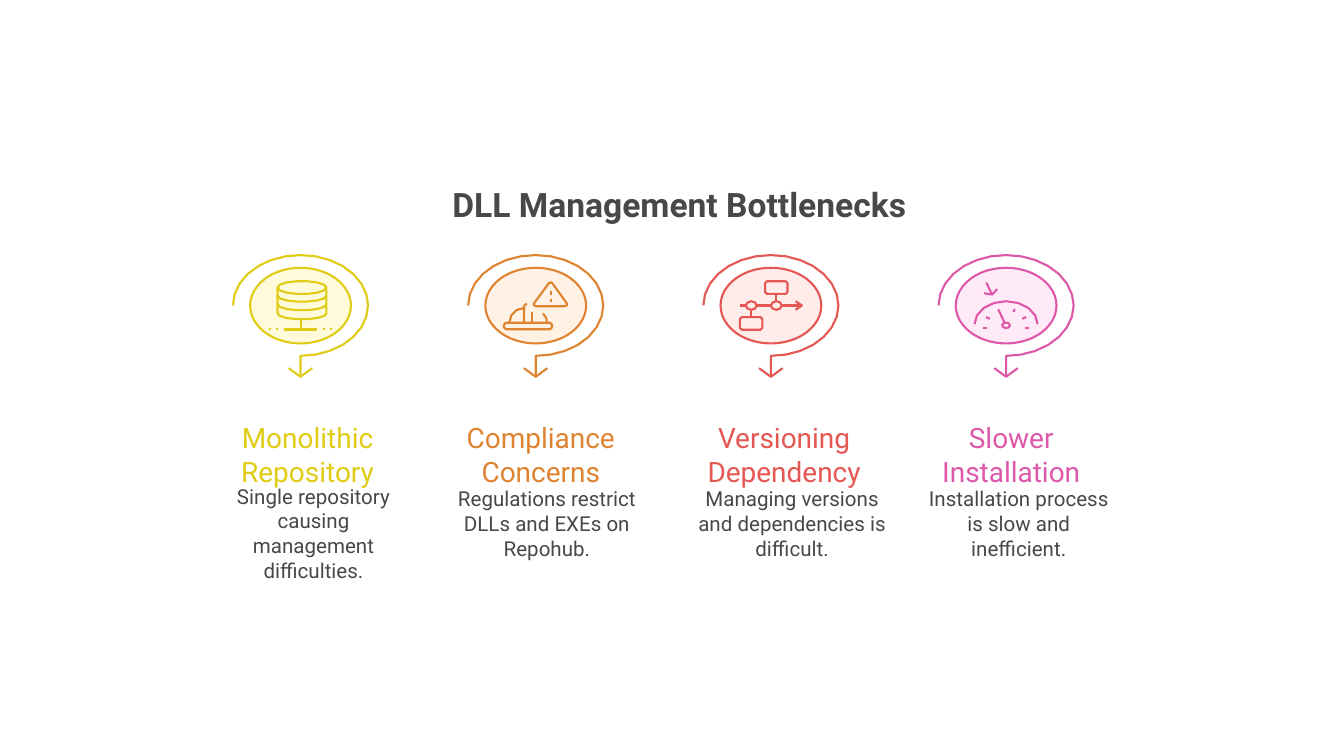
from dataclasses import dataclass
from math import cos, radians, sin
from typing import NamedTuple

from pptx import Presentation
from pptx.dml.color import RGBColor
from pptx.enum.shapes import MSO_SHAPE
from pptx.enum.text import MSO_AUTO_SIZE, PP_ALIGN
from pptx.util import Pt

Stroke = list[tuple[float, float]]


@dataclass(frozen=True)
class Theme:
    font: str = "Roboto"
    ink: str = "484848"
    background: str = "FFFFFF"
    title: float = 18
    heading: float = 15
    body: float = 11
    line: float = 1.12


class Box(NamedTuple):
    x: float
    y: float
    w: float
    h: float


@dataclass(frozen=True)
class Bottleneck:
    color: str
    tint: str
    heading: str
    heading_box: Box
    body: str
    body_box: Box
    icon: list[Stroke]


THEME = Theme()
FIRST_X, PITCH, CENTER_Y = 161, 126, 163.7
RING_RX, RING_RY = 27, 20.25


# Stroke helpers: points relative to the centre of a ring
def arc(cx: float, cy: float, rx: float, ry: float,
        start: float = 0, end: float = 360) -> Stroke:
    n = max(2, round(abs(end - start) / 360 * (6 + 0.6 * rx)))
    angles = [radians(start + (end - start) * i / n) for i in range(n + 1)]
    return [(cx + rx * cos(a), cy + ry * sin(a)) for a in angles]


def rounded_box(x: float, y: float, w: float, h: float, r: float = 1) -> Stroke:
    right, bottom = x + w, y + h
    return [(x + r, y), (right - r, y), (right, y + r), (right, bottom - r),
            (right - r, bottom), (x + r, bottom), (x, bottom - r), (x, y + r), (x + r, y)]


def dot(x: float, y: float) -> Stroke:
    return [(x - 0.5, y), (x + 0.5, y)]


SPIRAL_ARROW = [
    arc(0, 0, 36.2, 27, 180, 450) + [(0, 38.2)],
    [(-6.3, 33.6), (0, 38.2), (6.3, 33.6)],
]
DATABASE = [
    arc(0.8, -9.6, 13.1, 3.5),
    *[arc(0.8, y, 13.1, 3.2, 180, 0) for y in (-5.2, -0.6)],
    [(-12.3, -9.6)] + arc(0.8, 4.2, 13.1, 3.2, 180, 0) + [(13.9, -9.6)],
    [(0.2, 7.5), (0.2, 12.9)],
    [(-9, 12.9), (8.8, 12.9)],
    *[dot(x, 12.8) for x in (-16.2, -12.4, 12.4, 16.2)],
]
HARD_HAT_WARNING = [
    rounded_box(-17, 9.2, 25.8, 3.5),
    arc(-6.2, 9.2, 7.9, 7.9, 180, 270),
    [(-6.2, 9.2), (-6.2, 0.7), (-5.7, -0.4), (-4.7, -0.9)],
    [(-1.9, 3.6), (-1.9, 9.2)],
    [(3.9, 4.3), (5.6, 6.5), (6.1, 9.2)],
    [(7, -11.9), (8, -12.5), (9, -11.9), (16.8, -1), (16.8, -0.2), (15.6, 0.4),
     (0.3, 0.4), (-1, -0.2), (-1, -1), (7, -11.9)],
    [(8, -7.8), (8, -5.8)],
    dot(8, -2.7),
]
VERSION_FLOW = [
    *[[(x1, 0), (x2, 0)] for x1, x2 in ((-16.6, -13.4), (-7.6, 0), (5.8, 16.6))],
    [(13.2, -2.3), (16.6, 0), (13.2, 2.3)],
    *[arc(x, 0, 2.9, 2.3) for x in (-10.5, 2.9)],
    [(2.9, -2.3), (2.9, -6.2)],
    [(-10.5, 2.3), (-10.5, 6.2)],
    rounded_box(-3.1, -13, 12, 6.8),
    rounded_box(-16.6, 6.2, 12, 6.8),
]
SLOW_GAUGE = [
    arc(0, 10, 16.9, 12.3, 180, 360),
    arc(0, 10.6, 2.1, 1.5),
    [(-4.2, 2), (-0.9, 9)],
    [(4.7, 1.9), (3.9, 3.4)],
    *[[(side * 8.7, 7.1), (side * 10.8, 6.2)] for side in (-1, 1)],
    *[[(side * 10.3, 12.1), (side * 12.4, 12.1)] for side in (-1, 1)],
    [(-10.6, -12.3), (-7.5, -5.9)],
    [(-4.7, -8.8), (-7.5, -5.9), (-11.9, -6.6)],
]

BOTTLENECKS = [
    Bottleneck("E0CB15", "FFFBDA", "Monolithic\nRepository", Box(123.8, 225.4, 82, 33),
               "Single repository\ncausing\nmanagement\ndifficulties.",
               Box(118, 259.2, 100, 47.5), DATABASE),
    Bottleneck("DE8431", "FFF2E5", "Compliance\nConcerns", Box(245.5, 225.4, 88.5, 33),
               "Regulations restrict\nDLLs and EXEs on\nRepohub.",
               Box(236.9, 260.6, 112.3, 35.3), HARD_HAT_WARNING),
    Bottleneck("E55753", "FFECEB", "Versioning\nDependency", Box(372.2, 225.4, 95.8, 33),
               "Managing versions\nand dependencies is\ndifficult.",
               Box(360.7, 260.6, 127.4, 35.3), VERSION_FLOW),
    Bottleneck("DE58A9", "FFEBF7", "Slower\nInstallation", Box(501.8, 225.4, 80, 33),
               "Installation process\nis slow and\ninefficient.",
               Box(488.9, 260.6, 113.8, 35.3), SLOW_GAUGE),
]


def style_line(sp, color: str) -> None:
    sp.shadow.inherit = False
    sp.line.color.rgb = RGBColor.from_string(color)
    sp.line.width = Pt(THEME.line)


def draw_strokes(s, cx: float, strokes: list[Stroke], color: str) -> None:
    placed = [[(Pt(cx + x), Pt(CENTER_Y + y)) for x, y in stroke] for stroke in strokes]
    builder = s.shapes.build_freeform(*placed[0][0])
    for i, (first, *rest) in enumerate(placed):
        if i:
            builder.move_to(*first)
        builder.add_line_segments(rest, close=False)
    sp = builder.convert_to_shape()
    sp.fill.background()
    style_line(sp, color)


def draw_ring(s, cx: float, item: Bottleneck) -> None:
    sp = s.shapes.add_shape(MSO_SHAPE.OVAL, Pt(cx - RING_RX), Pt(CENTER_Y - RING_RY),
                            Pt(2 * RING_RX), Pt(2 * RING_RY))
    sp.fill.solid()
    sp.fill.fore_color.rgb = RGBColor.from_string(item.tint)
    style_line(sp, item.color)


def draw_text(s, text: str, box: Box, size: float, color: str, bold: bool = False) -> None:
    tf = s.shapes.add_textbox(*map(Pt, box)).text_frame
    tf.margin_left = tf.margin_right = tf.margin_top = tf.margin_bottom = 0
    tf.word_wrap = False
    tf.auto_size = MSO_AUTO_SIZE.SHAPE_TO_FIT_TEXT
    p = tf.paragraphs[0]
    p.alignment = PP_ALIGN.CENTER
    for i, line in enumerate(text.split("\n")):
        if i:
            p.add_line_break()
        r = p.add_run()
        r.text = line
        r.font.name = THEME.font
        r.font.size = Pt(size)
        r.font.bold = bold
        r.font.color.rgb = RGBColor.from_string(color)


def main() -> None:
    prs = Presentation()
    prs.slide_width, prs.slide_height = Pt(720), Pt(405)
    s = prs.slides.add_slide(prs.slide_layouts[6])
    s.background.fill.solid()
    s.background.fill.fore_color.rgb = RGBColor.from_string(THEME.background)

    # Title
    draw_text(s, "DLL Management Bottlenecks", Box(223.2, 98.6, 281.5, 19.4),
              THEME.title, THEME.ink, bold=True)

    # One column per bottleneck
    for i, item in enumerate(BOTTLENECKS):
        cx = FIRST_X + i * PITCH
        draw_ring(s, cx, item)
        draw_strokes(s, cx, SPIRAL_ARROW, item.color)
        draw_strokes(s, cx, item.icon, item.color)
        draw_text(s, item.heading, item.heading_box, THEME.heading, item.color)
        draw_text(s, item.body, item.body_box, THEME.body, THEME.ink)

    prs.save("out.pptx")


if __name__ == "__main__":
    main()
